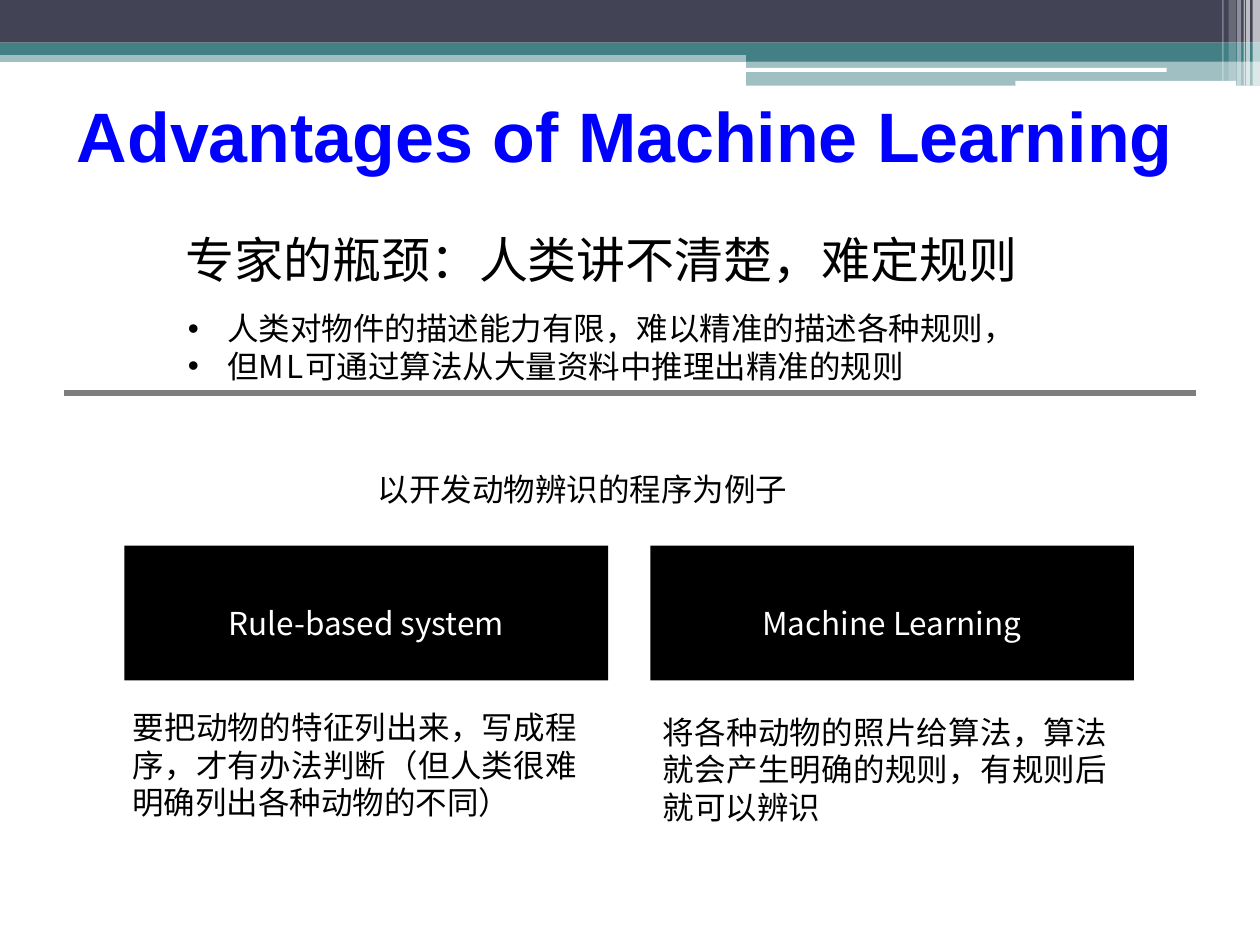
from dataclasses import dataclass

from lxml import etree
from pptx import Presentation
from pptx.dml.color import RGBColor
from pptx.enum.shapes import MSO_CONNECTOR, MSO_SHAPE
from pptx.enum.text import MSO_ANCHOR, MSO_AUTO_SIZE, PP_ALIGN
from pptx.oxml.ns import qn
from pptx.util import Cm, Pt

RECT, ROUND = MSO_SHAPE.RECTANGLE, MSO_SHAPE.ROUNDED_RECTANGLE
LEFT, CENTER, JUSTIFY = PP_ALIGN.LEFT, PP_ALIGN.CENTER, PP_ALIGN.JUSTIFY
TOP, MIDDLE = MSO_ANCHOR.TOP, MSO_ANCHOR.MIDDLE
STRAIGHT = MSO_CONNECTOR.STRAIGHT
NO_FIT = MSO_AUTO_SIZE.NONE

COLORS = {
    "navy": "424456",
    "teal": "438086",
    "white": "FFFFFF",
    "black": "000000",
    "title": "0000FF",
    "rule": "7E7E7E",
}
CHINESE, LABEL, HEADLINE = "Noto Sans CJK SC", "Noto Sans CJK JP", "Arial"


@dataclass
class Bar:
    left: float
    top: float
    width: float
    height: float
    color: str
    opacity: int = 100
    shape: int = RECT


@dataclass
class Approach:
    name: str
    description: str
    card_left: float
    text_left: float
    text_top: float
    line_spacing: float


HEADER_BARS = [
    Bar(0, 1.02, 25.4, 0.23, "teal", 50),
    Bar(0, 0, 25.4, 0.86, "navy"),
    Bar(0, 0.86, 25.4, 0.25, "teal"),
    Bar(15.04, 0.99, 10.36, 0.25, "teal"),
    Bar(15.04, 1.22, 10.36, 0.51, "teal", 50),
    Bar(15.01, 1.37, 8.51, 0.08, "white", shape=ROUND),
    Bar(20.47, 1.63, 4.45, 0.1, "white", shape=ROUND),
]
# Vertical strips at the right edge: left, width, height, opacity
STRIPS = [
    (25.25, 0.15, 1.73, 65),
    (25.12, 0.08, 1.73, 65),
    (25.07, 0.03, 1.73, 60),
    (24.94, 0.08, 1.73, 40),
    (24.77, 0.15, 1.63, 20),
    (24.64, 0.03, 1.63, 30),
]
APPROACHES = [
    Approach("Rule-based system",
             "要把动物的特征列出来，写成程序，才有办法判断（但人类很难 明确列出各种动物的不同）",
             2.51, 2.67, 14.27, 1),
    Approach("Machine Learning",
             "将各种动物的照片给算法，算法就会产生明确的规则，有规则后就可以辨识",
             13.11, 13.36, 14.4, 0.99),
]
BOTTLENECK = "专家的瓶颈：人类讲不清楚，难定规则"
BULLETS = [
    ["人类对物件的描述能力有限，难以精准的描述各种规则，"],
    ["但", "ML", "可通过算法从大量资料中推理出精准的规则"],
]


def rgb(name: str) -> RGBColor:
    return RGBColor.from_string(COLORS[name])


def draw_bar(slide, bar: Bar):
    shape = slide.shapes.add_shape(
        bar.shape, Cm(bar.left), Cm(bar.top), Cm(bar.width), Cm(bar.height))
    shape.shadow.inherit = False
    shape.line.fill.background()
    shape.fill.solid()
    shape.fill.fore_color.rgb = rgb(bar.color)
    if bar.opacity < 100:
        color = shape.fill._xPr.find(qn("a:solidFill"))[0]
        etree.SubElement(color, qn("a:alpha")).set("val", str(bar.opacity * 1000))
    return shape


def format_paragraph(paragraph, size: float, font: str, color: str,
                     align: int = LEFT, bold: bool = False) -> None:
    paragraph.alignment = align
    for run in paragraph.runs:
        run.font.size = Pt(size)
        run.font.bold = bold
        run.font.name = font
        run.font.color.rgb = rgb(color)
        east_asian = etree.Element(qn("a:ea"))
        east_asian.set("typeface", font)
        run.font._element.find(qn("a:latin")).addnext(east_asian)


def prepare_frame(frame, top_inset: float = 0, anchor: int = TOP) -> None:
    frame.word_wrap = True
    frame.auto_size = NO_FIT
    frame.vertical_anchor = anchor
    frame.margin_left = frame.margin_right = frame.margin_bottom = 0
    frame.margin_top = Cm(top_inset)


def add_text(slide, left: float, top: float, width: float, height: float,
             text: str, size: float = 18, align: int = LEFT):
    frame = slide.shapes.add_textbox(
        Cm(left), Cm(top), Cm(width), Cm(height)).text_frame
    prepare_frame(frame)
    frame.text = text
    format_paragraph(frame.paragraphs[0], size, CHINESE, "black", align)
    return frame


def add_bullet(frame, parts: list[str]):
    paragraph = frame.add_paragraph()
    for part in parts:
        run = paragraph.add_run()
        run.text = part
    format_paragraph(paragraph, 18, CHINESE, "black")
    properties = paragraph._p.get_or_add_pPr()
    properties.set("marL", str(Cm(0.84)))
    properties.set("indent", str(-Cm(0.79)))
    etree.SubElement(properties, qn("a:buFont")).set("typeface", HEADLINE)
    etree.SubElement(properties, qn("a:buChar")).set("char", "•")
    return paragraph


def draw_approach(slide, approach: Approach) -> None:
    card = draw_bar(slide, Bar(approach.card_left, 11, 9.75, 2.72, "black"))
    prepare_frame(card.text_frame, top_inset=0.4, anchor=MIDDLE)
    card.text_frame.text = approach.name
    format_paragraph(card.text_frame.paragraphs[0], 18, LABEL, "white", CENTER)
    description = add_text(slide, approach.text_left, approach.text_top, 8.97, 2.34,
                           approach.description, align=JUSTIFY)
    description.paragraphs[0].line_spacing = approach.line_spacing


def main() -> None:
    presentation = Presentation()
    presentation.slide_width, presentation.slide_height = Cm(25.4), Cm(19.05)
    slide = presentation.slides.add_slide(presentation.slide_layouts[5])

    # Header decoration
    for bar in HEADER_BARS:
        draw_bar(slide, bar)
    for left, width, height, opacity in STRIPS:
        draw_bar(slide, Bar(left, 0, width, height, "white", opacity))

    # Title
    title = slide.shapes.title
    title.left, title.top, title.width, title.height = Cm(1.3), Cm(0.43), Cm(23.93), Cm(4.57)
    prepare_frame(title.text_frame, anchor=MIDDLE)
    title.text_frame.margin_left = Cm(0.25)
    title.text_frame.text = "Advantages of Machine Learning"
    format_paragraph(title.text_frame.paragraphs[0], 40, HEADLINE, "title", bold=True)

    # Bottleneck statement with its bullets
    statement = add_text(slide, 3.74, 4.62, 17, 3.2, BOTTLENECK, size=28)
    bullets = [add_bullet(statement, parts) for parts in BULLETS]
    bullets[0].space_before = Pt(12.2)
    bullets[1].runs[1].font._element.set("spc", "110")

    # Dividing rule
    rule = slide.shapes.add_connector(STRAIGHT, Cm(1.3), Cm(7.92), Cm(24.1), Cm(7.92))
    rule.line.color.rgb = rgb("rule")
    rule.line.width = Pt(3)
    etree.SubElement(rule._element.spPr, qn("a:effectLst"))

    # Example: two approaches side by side
    add_text(slide, 7.62, 9.47, 10, 0.8, "以开发动物辨识的程序为例子")
    for approach in APPROACHES:
        draw_approach(slide, approach)

    presentation.save("out.pptx")


if __name__ == "__main__":
    main()
